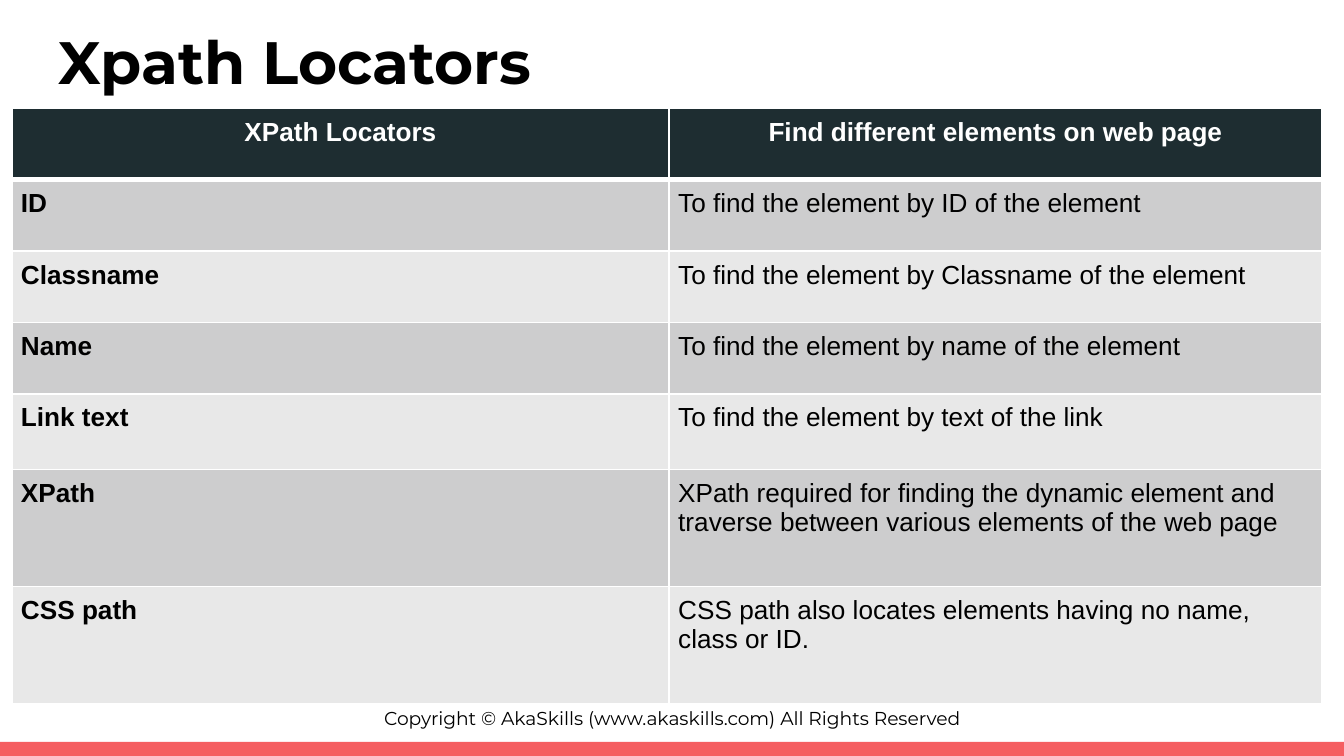
import lxml.etree
import pptx
import pptx.dml.color
import pptx.enum.shapes
import pptx.enum.text
import pptx.oxml.ns
import pptx.util

EMU_PER_PX = 914400 // 192
ALIGN = pptx.enum.text.PP_ALIGN
ANCHOR = pptx.enum.text.MSO_ANCHOR

ROWS = [
    ("XPath Locators", "Find different elements on web page"),
    ("ID", "To find the element by ID of the element"),
    ("Classname", "To find the element by Classname of the element"),
    ("Name", "To find the element by name of the element"),
    ("Link text", "To find the element by text of the link"),
    ("XPath", "XPath required for finding the dynamic element and "
              "traverse between various elements of the web page"),
    ("CSS path", "CSS path also locates elements having no name, class or ID."),
]
COLUMN_WIDTHS = [939, 933]
ROW_HEIGHTS = [102, 102, 102, 102, 108, 167, 167]
HEADER_FILL = "1E2D31"
BAND_FILLS = ["E8E8E8", "CDCDCE"]


def px(length):
    return pptx.util.Emu(length * EMU_PER_PX)


def color(value):
    return pptx.dml.color.RGBColor.from_string(value)


class SlideBuilder:
    heading_font = "Montserrat"
    body_font = "Arial"

    def __init__(self, presentation):
        layout = presentation.slide_layouts.get_by_name("Title Only")
        self.slide = presentation.slides.add_slide(layout)

    def fill_text(self, frame, text, font, size, ink="000000", bold=False,
                  align=ALIGN.LEFT, inset=19):
        margins = ("margin_left", "margin_top", "margin_right", "margin_bottom")
        for name in margins:
            setattr(frame, name, px(inset))
        frame.word_wrap = True
        paragraph = frame.paragraphs[0]
        paragraph.text = text
        paragraph.alignment = align
        font_values = {"name": font, "size": pptx.util.Pt(size), "bold": bold}
        for name, value in font_values.items():
            setattr(paragraph.font, name, value)
        paragraph.font.color.rgb = color(ink)

    def title(self, text, left, top, width, height):
        shape = self.slide.shapes.title
        box = {"left": left, "top": top, "width": width, "height": height}
        for name, value in box.items():
            setattr(shape, name, px(value))
        shape.text_frame.auto_size = pptx.enum.text.MSO_AUTO_SIZE.NONE
        shape.text_frame.vertical_anchor = ANCHOR.TOP
        self.fill_text(shape.text_frame, text, self.heading_font, 32, bold=True)

    def text(self, text, left, top, width, height):
        shape = self.slide.shapes.add_textbox(*map(px, (left, top, width, height)))
        self.fill_text(shape.text_frame, text, self.heading_font, 10,
                       align=ALIGN.CENTER)

    def rectangle(self, fill, left, top, width, height):
        shape = self.slide.shapes.add_shape(
            pptx.enum.shapes.MSO_SHAPE.RECTANGLE,
            *map(px, (left, top, width, height)))
        shape.shadow.inherit = False
        shape.fill.solid()
        shape.fill.fore_color.rgb = color(fill)
        shape.line.fill.background()

    def borders(self, cell, widths):
        """Draw white cell edges; widths maps L, R, T and B to points."""
        properties = cell._tc.get_or_add_tcPr()
        for index, (side, width) in enumerate(widths.items()):
            line = lxml.etree.Element(pptx.oxml.ns.qn(f"a:ln{side}"),
                                      w=str(pptx.util.Pt(width)))
            fill = lxml.etree.SubElement(line, pptx.oxml.ns.qn("a:solidFill"))
            lxml.etree.SubElement(fill, pptx.oxml.ns.qn("a:srgbClr"), val="FFFFFF")
            properties.insert(index, line)

    def table(self, rows, left, top, column_widths, row_heights):
        table = self.slide.shapes.add_table(
            len(rows), len(column_widths), px(left), px(top),
            px(sum(column_widths)), px(sum(row_heights))).table
        for column, width in zip(table.columns, column_widths):
            column.width = px(width)
        for row, height in zip(table.rows, row_heights):
            row.height = px(height)
        for row_index, texts in enumerate(rows):
            header = row_index == 0
            for column_index, text in enumerate(texts):
                cell = table.cell(row_index, column_index)
                self.fill_text(cell.text_frame, text, self.body_font, 14,
                               ink="FFFFFF" if header else "000000",
                               bold=header or column_index == 0,
                               align=ALIGN.CENTER if header else ALIGN.LEFT)
                for side in ("left", "top", "right", "bottom"):
                    setattr(cell, f"margin_{side}", px(13))
                cell.fill.solid()
                cell.fill.fore_color.rgb = color(
                    HEADER_FILL if header else BAND_FILLS[row_index % 2])
                self.borders(cell, {"L": 1, "R": 1,
                                    "T": 3 if row_index == 1 else 1,
                                    "B": 3 if header else 1})


def main():
    presentation = pptx.Presentation()
    presentation.slide_width = px(1920)
    presentation.slide_height = px(1080)
    builder = SlideBuilder(presentation)
    builder.text("Copyright © AkaSkills (www.akaskills.com) All Rights Reserved",
                 0, 993, 1920, 63)
    builder.rectangle("F55E61", 0, 1060, 1920, 20)
    builder.title("Xpath Locators", 65, 17, 1789, 115)
    builder.table(ROWS, 17, 155, COLUMN_WIDTHS, ROW_HEIGHTS)
    presentation.save("out.pptx")


if __name__ == "__main__":
    main()
